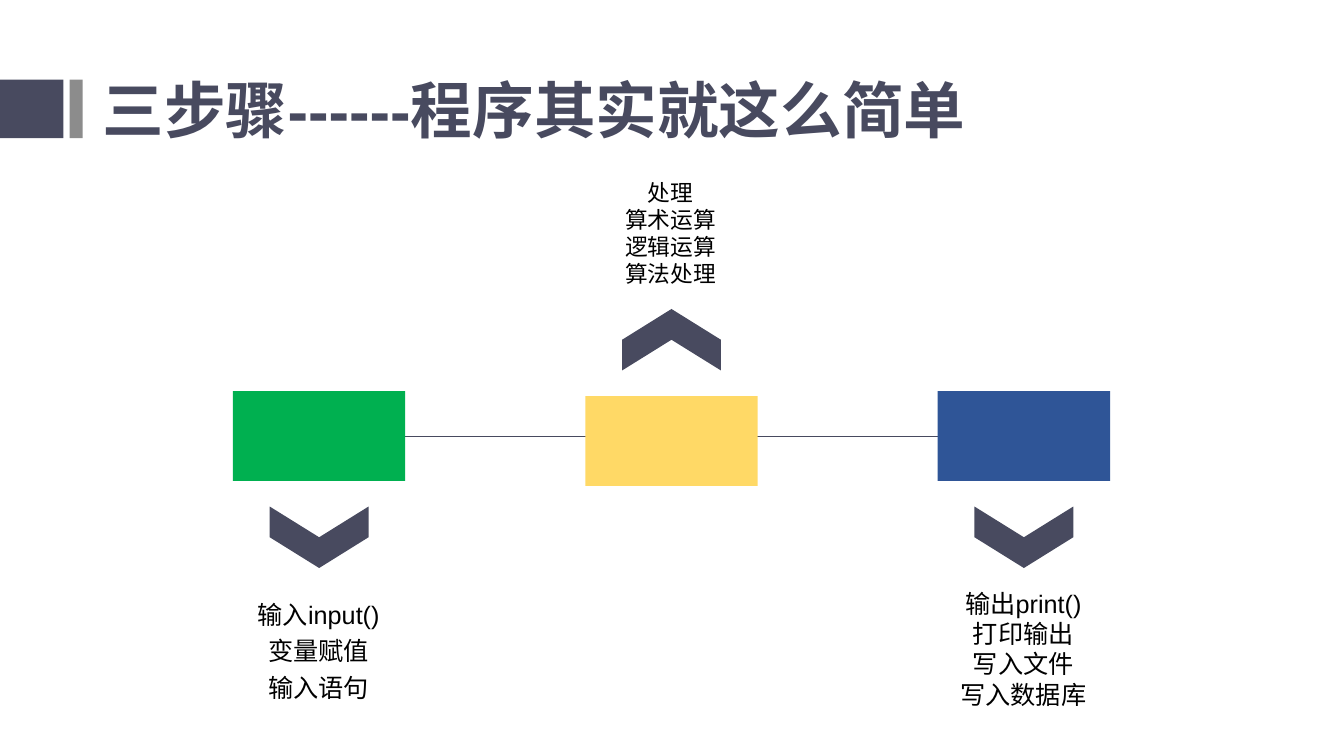
"""Draw the three steps of a program: input, process and output."""
import pptx
import pptx.util
import pptx.dml.color
import pptx.enum.shapes
import pptx.enum.text
import lxml.etree

Inches = pptx.util.Inches
Shape = pptx.enum.shapes.MSO_SHAPE
Align = pptx.enum.text.PP_ALIGN
COLORS = {"slate": "484A5F", "gray": "8C8C8C", "green": "00B050",
          "yellow": "FFD966", "blue": "2F5597", "black": "000000"}
STEPS = [
    {"color": "green", "top": 3.88, "arrow": 4.84, "turn": 90,
     "box": (1.37, 5.67, 3.58, 1.51), "size": 18, "space": 1.2,
     "lines": ["输入input()", "变量赋值", "输入语句"]},
    {"color": "yellow", "top": 3.93, "arrow": 2.88, "turn": 270,
     "box": (4.86, 1.64, 3.58, 1.34), "size": 16.2, "space": None,
     "lines": ["处理", "算术运算", "逻辑运算", "算法处理"]},
    {"color": "blue", "top": 3.88, "arrow": 4.84, "turn": 90,
     "box": (8.36, 5.7, 3.58, 1.47), "size": 18, "space": None,
     "lines": ["输出print()", "打印输出", "写入文件", "写入数据库"]},
]


def shade(name):
    return pptx.dml.color.RGBColor.from_string(COLORS[name])


def add_block(slide, kind, box, color, turn=0):
    block = slide.shapes.add_shape(kind, *map(Inches, box))
    block.shadow.inherit = False
    block.fill.solid()
    block.fill.fore_color.rgb = shade(color)
    block.line.fill.background()
    block.rotation = turn


def add_line(slide, start, end):
    line = slide.shapes.add_connector(
        pptx.enum.shapes.MSO_CONNECTOR.STRAIGHT, *map(Inches, start + end))
    line.line.color.rgb = shade("slate")
    line.line.width = pptx.util.Pt(0.5)
    props = line.element.spPr
    lxml.etree.SubElement(props, pptx.oxml.ns.qn("a:effectLst"))


def add_text(slide, box, lines, color, form, font):
    frame = slide.shapes.add_textbox(*map(Inches, box)).text_frame
    frame.word_wrap = True
    frame.vertical_anchor = pptx.enum.text.MSO_ANCHOR.MIDDLE
    frame.text = "\n".join(lines)
    for para in frame.paragraphs:
        for key, value in form.items():
            setattr(para, key, value)
        for run in para.runs:
            for key, value in font.items():
                setattr(run.font, key, value)
            run.font.color.rgb = shade(color)


def add_step(slide, left, step):
    add_block(slide, Shape.RECTANGLE, (left, step["top"], 1.71, 0.89),
              step["color"])
    add_block(slide, Shape.CHEVRON, (left + 0.55, step["arrow"], 0.61, 0.98),
              "slate", step["turn"])
    add_text(slide, step["box"], step["lines"], "black",
             {"alignment": Align.CENTER, "line_spacing": step["space"]},
             {"name": "Arial", "size": pptx.util.Pt(step["size"])})


def main():
    deck = pptx.Presentation()
    deck.slide_width, deck.slide_height = Inches(13.33), Inches(7.5)
    slide = deck.slides.add_slide(deck.slide_layouts[6])
    add_block(slide, Shape.RECTANGLE, (0, 0.79, 0.63, 0.58), "slate")
    add_block(slide, Shape.RECTANGLE, (0.69, 0.79, 0.13, 0.58), "gray")
    add_text(slide, (0.92, 0.4, 11.5, 1.45),
             ["三步骤------程序其实就这么简单"], "slate",
             {"alignment": Align.LEFT, "line_spacing": 0.9},
             {"name": "Arial", "size": pptx.util.Pt(44), "bold": True})
    add_line(slide, (3.16, 4.33), (10.64, 4.33))
    for index, step in enumerate(STEPS):
        add_step(slide, 2.31 + 3.495 * index, step)
    deck.save("out.pptx")


if __name__ == "__main__":
    main()
